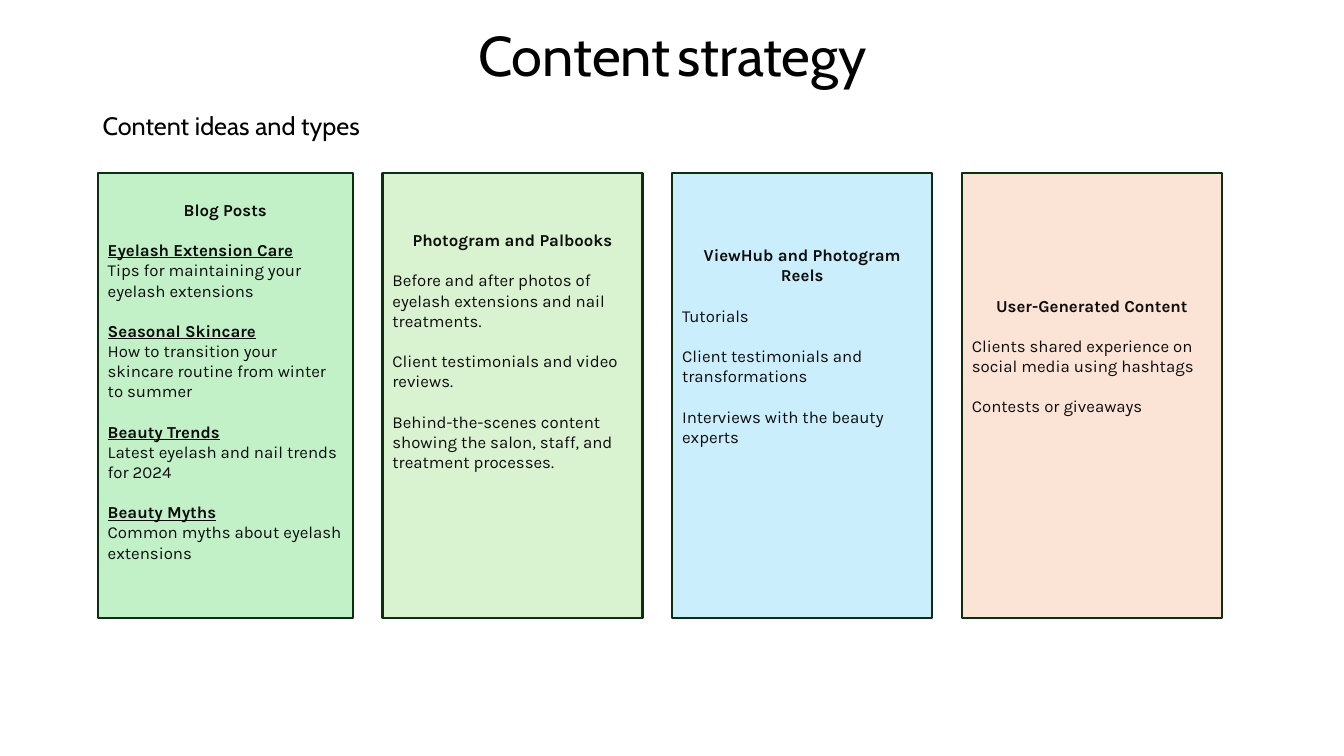
from pptx import Presentation
from pptx.dml.color import RGBColor
from pptx.enum.shapes import MSO_SHAPE as Shape
from pptx.enum.text import MSO_ANCHOR as Anchor, PP_ALIGN as Align
from pptx.util import Inches, Pt

BLACK = RGBColor(0x00, 0x00, 0x00)
INK = RGBColor(0x0D, 0x0D, 0x0D)
BORDER = RGBColor(0x0B, 0x2F, 0x10)
GREEN = RGBColor(0xC2, 0xF1, 0xC8)
LIME = RGBColor(0xD9, 0xF2, 0xD0)
BLUE = RGBColor(0xCA, 0xEE, 0xFB)
PEACH = RGBColor(0xFB, 0xE3, 0xD6)

CARD_TOP, CARD_HEIGHT = 1.72, 4.41
FIRST_RIGHT, LAST_RIGHT = 3.5, 12.12
BLANK_LINE = Pt(14.4)

CARDS = [
    (GREEN, 2.53, 0.26, "Blog Posts", [
        ("Eyelash Extension Care", "Tips for maintaining your eyelash extensions"),
        ("Seasonal Skincare", "How to transition your skincare routine from winter to summer"),
        ("Beauty Trends", "Latest eyelash and nail trends for 2024"),
        ("Beauty Myths", "Common myths about eyelash extensions"),
    ]),
    (LIME, 2.58, 0.56, "Photogram and Palbooks", [
        ("", "Before and after photos of eyelash extensions and nail treatments."),
        ("", "Client testimonials and video reviews."),
        ("", "Behind-the-scenes content showing the salon, staff, and treatment processes."),
    ]),
    (BLUE, 2.58, 0.71, "ViewHub and Photogram Reels", [
        ("", "Tutorials"),
        ("", "Client testimonials and transformations"),
        ("", "Interviews with the beauty experts"),
    ]),
    (PEACH, 2.58, 1.21, "User-Generated Content", [
        ("", "Clients shared experience on social media using hashtags"),
        ("", "Contests or giveaways"),
    ]),
]


def style(span, name, size, color, bold=False, underline=False):
    font = span.font
    font.name, font.size, font.bold, font.underline = name, Pt(size), bold, underline
    font.color.rgb = color


def add_text(page, left, top, width, height, spans, align=Align.LEFT):
    box = page.shapes.add_textbox(Inches(left), Inches(top), Inches(width), Inches(height))
    frame = box.text_frame
    frame.word_wrap = True
    para = frame.paragraphs[0]
    para.alignment = align
    for text, name, size in spans:
        span = para.add_run()
        span.text = text
        style(span, name, size, BLACK)
    return frame


def add_heading(page):
    title = [("Content", "Cabin", 40), (" ", "Arial", 18), ("strategy", "Cabin", 40)]
    frame = add_text(page, 0.92, 0.4, 11.5, 0.35, title, Align.CENTER)
    frame.vertical_anchor = Anchor.MIDDLE
    frame.paragraphs[0].line_spacing = 0.9
    add_text(page, 0.92, 1.05, 6.67, 0.4, [("Content ideas and types", "Cabin", 18)])


def add_card(page, right, width, fill, inset, heading, ideas):
    card = page.shapes.add_shape(Shape.RECTANGLE, Inches(right - width), Inches(CARD_TOP),
                                 Inches(width), Inches(CARD_HEIGHT))
    card.shadow.inherit = False
    card.fill.solid()
    card.fill.fore_color.rgb = fill
    card.line.color.rgb = BORDER
    card.line.width = Pt(1.5)
    frame = card.text_frame
    frame.word_wrap = True
    frame.vertical_anchor = Anchor.TOP
    frame.margin_top = Inches(inset)
    para = frame.paragraphs[0]
    para.text = heading
    para.alignment = Align.CENTER
    style(para.runs[0], "Karla", 12, INK, bold=True)
    for topic, detail in ideas:
        gap = BLANK_LINE
        for text, is_topic in ((topic, True), (detail, False)):
            if text:
                para = frame.add_paragraph()
                para.text = text
                para.alignment = Align.LEFT
                para.space_before = gap
                style(para.runs[0], "Karla", 12, INK, is_topic, is_topic)
                gap = Pt(0)


def main():
    deck = Presentation()
    deck.slide_width, deck.slide_height = Inches(13.33), Inches(7.5)
    page = deck.slides.add_slide(deck.slide_layouts[6])
    add_heading(page)
    pitch = (LAST_RIGHT - FIRST_RIGHT) / (len(CARDS) - 1)
    for column, (fill, width, inset, heading, ideas) in enumerate(CARDS):
        add_card(page, FIRST_RIGHT + column * pitch, width, fill, inset, heading, ideas)
    deck.save("out.pptx")


if __name__ == "__main__":
    main()
